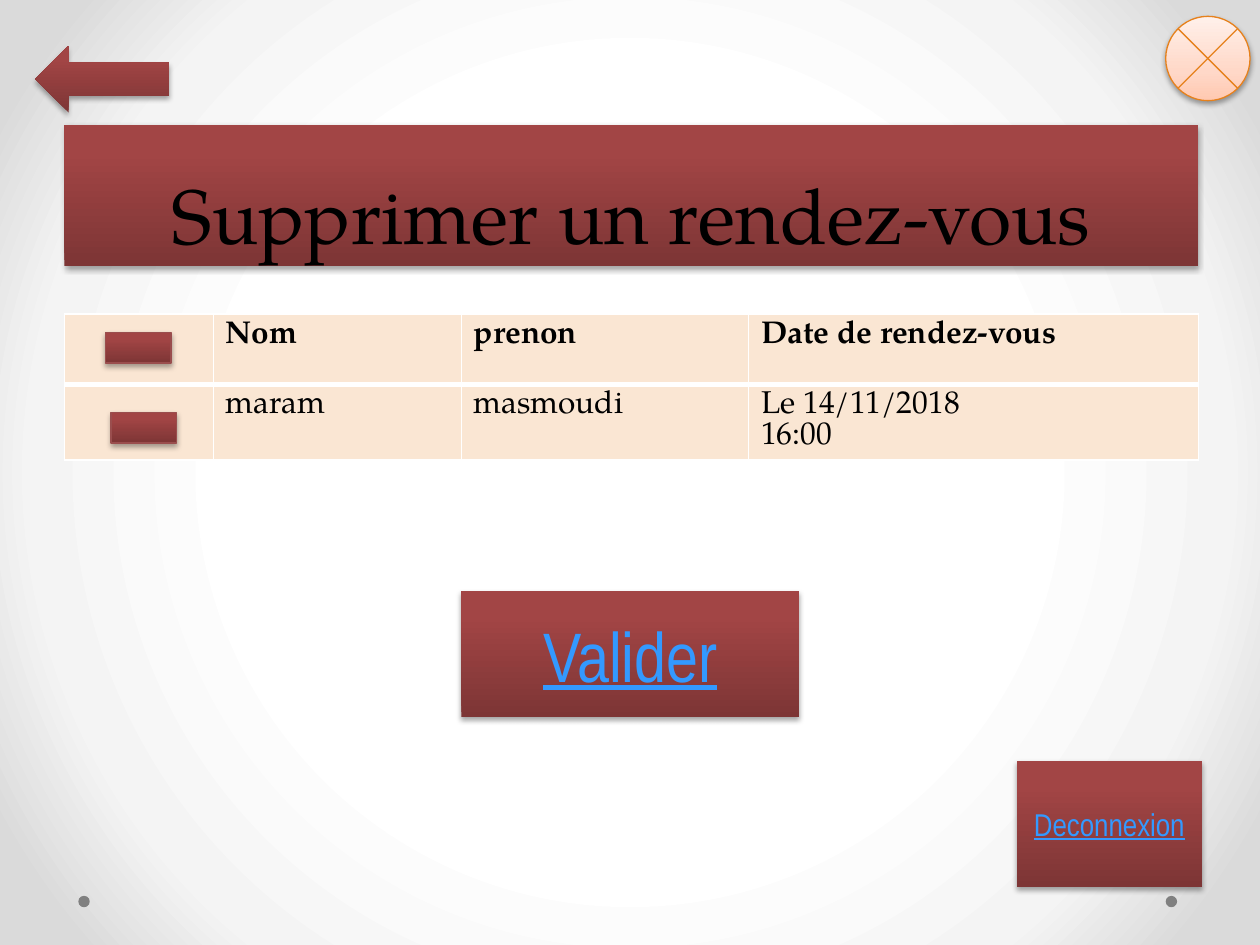
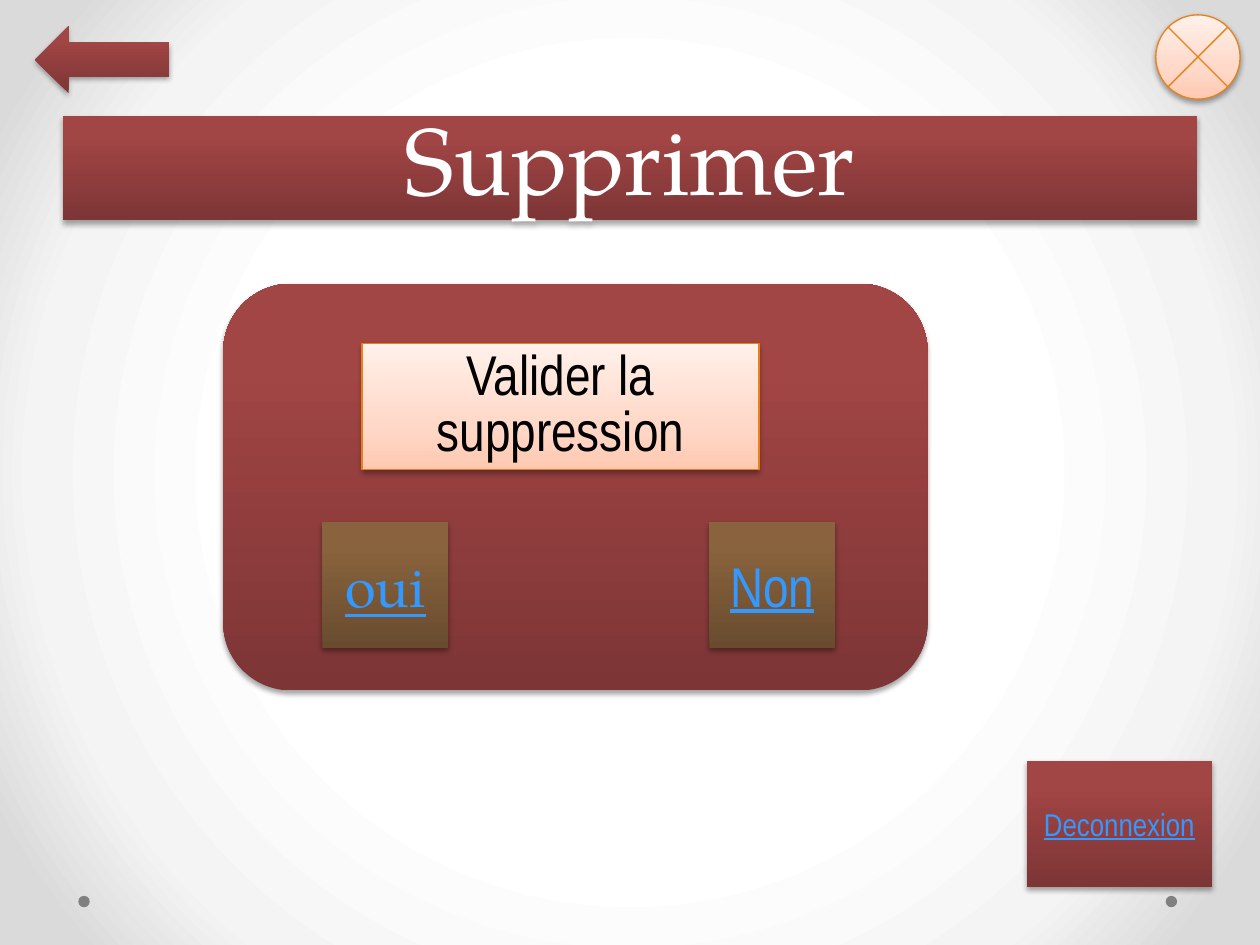
from pptx import Presentation
from pptx.dml.color import RGBColor
from pptx.enum.shapes import MSO_SHAPE
from pptx.enum.text import MSO_ANCHOR, PP_ALIGN
from pptx.oxml import parse_xml
from pptx.oxml.ns import nsdecls, qn
from pptx.util import Cm, Pt

RECT, ROUNDED, OVAL = MSO_SHAPE.RECTANGLE, MSO_SHAPE.ROUNDED_RECTANGLE, MSO_SHAPE.OVAL
ARROW, JUNCTION = MSO_SHAPE.LEFT_ARROW, MSO_SHAPE.FLOWCHART_SUMMING_JUNCTION
CENTER, LEFT = PP_ALIGN.CENTER, PP_ALIGN.LEFT
MIDDLE, TOP, BOTTOM = MSO_ANCHOR.MIDDLE, MSO_ANCHOR.TOP, MSO_ANCHOR.BOTTOM
SERIF, NARROW = "TeX Gyre Pagella", "Arial Narrow"

COLORS = {
    "black": "000000", "white": "FFFFFF", "link": "3399FF", "dot": "808080",
    "cell": "FAE6D3", "orange": "E6811C", "red_line": "9A4E4E",
}
STOPS = {
    "red": [(0, "7D3535"), (80, "A24545"), (100, "A44343")],
    "brown": [(0, "694C2F"), (80, "89633D"), (100, "8B633C")],
    "peach": [(0, "FFC9B1"), (35, "FFD8C8"), (100, "FFF0EA")],
    "backdrop": [(50, "FFFFFF"), (76, "F4F4F4"), (92, "DADADA")],
}
UPWARD = '<a:lin ang="16200000" scaled="0"/>'
RADIAL = '<a:path path="circle"><a:fillToRect l="50000" t="50000" r="50000" b="50000"/></a:path>'
GRADIENTS = {
    name: f'<a:gradFill {nsdecls("a")} rotWithShape="1"><a:gsLst>'
    + "".join(f'<a:gs pos="{pos * 1000}"><a:srgbClr val="{c}"/></a:gs>' for pos, c in stops)
    + f'</a:gsLst>{RADIAL if name == "backdrop" else UPWARD}</a:gradFill>'
    for name, stops in STOPS.items()
}
SHADOW = (
    f'<a:effectLst {nsdecls("a")}><a:outerShdw blurRad="39370" dist="22860" dir="5400000" '
    'algn="ctr" rotWithShape="0"><a:srgbClr val="000000"><a:alpha val="35000"/></a:srgbClr>'
    "</a:outerShdw></a:effectLst>"
)


def write(tf, text, size=18, font=NARROW, color="black", bold=False, underline=False,
          align=CENTER, anchor=MIDDLE, spacing=None):
    tf.word_wrap = True
    tf.vertical_anchor = anchor
    for i, line in enumerate(text.split("\n")):
        p = tf.add_paragraph() if i else tf.paragraphs[0]
        p.alignment = align
        if spacing:
            p.line_spacing = Pt(spacing)
        r = p.add_run()
        r.text = line
        r.font.size, r.font.name = Pt(size), font
        r.font.bold, r.font.underline = bold, underline
        r.font.color.rgb = RGBColor.from_string(COLORS[color])


def add_block(s, kind, x, y, w, h, fill="red", line=None):
    sp = s.shapes.add_shape(kind, Cm(x), Cm(y), Cm(w), Cm(h))
    sp.shadow.inherit = False
    if line:
        sp.line.color.rgb = RGBColor.from_string(COLORS[line])
        sp.line.width = Pt(0.75)
    else:
        sp.line.fill.background()
    sp.fill.solid()
    if fill in GRADIENTS:
        props = sp.element.spPr
        props.replace(props.find(qn("a:solidFill")), parse_xml(GRADIENTS[fill]))
        props.replace(props.find(qn("a:effectLst")), parse_xml(SHADOW))
    else:
        sp.fill.fore_color.rgb = RGBColor.from_string(COLORS[fill])
    return sp


prs = Presentation()
prs.slide_width, prs.slide_height = Cm(25.4), Cm(19.05)

# Shared frame: backdrop, dots, back arrow, title band, logout and close buttons
# text, size, colour, band (x, y, height), arrow y, logout x, close (x, y)
frames = [
    ("Supprimer un rendez-vous", 44, "black", (1.3, 2.52, 2.84), 0.92, 20.5, (23.5, 0.33)),
    ("Supprimer", 54, "white", (1.27, 2.33, 2.11), 0.53, 20.7, (23.3, 0.3)),
]
slides = []
for title, size, color, (band_x, band_y, band_h), arrow_y, logout_x, close in frames:
    s = prs.slides.add_slide(prs.slide_layouts[6])
    slides.append(s)
    s.background.fill.solid()
    bg = s.element.find(".//" + qn("p:bgPr"))
    bg.replace(bg.find(qn("a:solidFill")), parse_xml(GRADIENTS["backdrop"]))
    for dot_x in (1.58, 23.5):
        add_block(s, OVAL, dot_x, 18.06, 0.23, 0.23, fill="dot")
    band = add_block(s, RECT, band_x, band_y, 22.86, band_h)
    write(band.text_frame, title, size=size, font=SERIF, color=color, anchor=BOTTOM, spacing=58)
    add_block(s, ARROW, 0.71, arrow_y, 2.7, 1.35)
    logout = add_block(s, RECT, logout_x, 15.34, 3.73, 2.54)
    write(logout.text_frame, "Deconnexion", color="link", underline=True)
    add_block(s, JUNCTION, *close, 1.7, 1.7, fill="peach", line="orange")

list_slide, confirm_slide = slides

# Appointment table
rows = [
    ("", "Nom", "prenon", "Date de rendez-vous"),
    ("", "maram", "masmoudi", "Le 14/11/2018\n16:00"),
]
col_widths, row_heights = (3, 5, 5.79, 9.07), (1.42, 1.37)
table = list_slide.shapes.add_table(2, 4, Cm(1.3), Cm(6.33), Cm(22.86), Cm(2.79)).table
for col, width in zip(table.columns, col_widths):
    col.width = Cm(width)
for i, (row, height) in enumerate(zip(rows, row_heights)):
    table.rows[i].height = Cm(height)
    for j, text in enumerate(row):
        cell = table.cell(i, j)
        props = cell._tc.get_or_add_tcPr()
        thick_side = "B" if i == 0 else "T"
        for side in "LRTB":
            width = Pt(3 if side == thick_side else 1)
            props.append(parse_xml(
                f'<a:ln{side} {nsdecls("a")} w="{width}"><a:solidFill>'
                f'<a:srgbClr val="{COLORS["white"]}"/></a:solidFill></a:ln{side}>'))
        cell.fill.solid()
        cell.fill.fore_color.rgb = RGBColor.from_string(COLORS["cell"])
        if text:
            write(cell.text_frame, text, font=SERIF, bold=i == 0, align=LEFT, anchor=TOP,
                  spacing=18)

# Row selectors and validation button
for x, y in ((2.13, 6.71), (2.24, 8.32)):
    add_block(list_slide, RECT, x, y, 1.32, 0.61, line="red_line")
button = add_block(list_slide, RECT, 9.3, 11.92, 6.81, 2.54)
write(button.text_frame, "Valider", size=40, color="link", underline=True)

# Confirmation dialog: tight line spacing keeps both lines inside the question box
add_block(confirm_slide, ROUNDED, 4.5, 5.72, 14.2, 8.2)
question = add_block(confirm_slide, RECT, 7.3, 6.93, 8, 2.54, fill="peach", line="orange")
write(question.text_frame, "Valider la suppression", size=32, spacing=32)
for answer, x, font in (("oui", 6.5, SERIF), ("Non", 14.3, NARROW)):
    button = add_block(confirm_slide, RECT, x, 10.52, 2.54, 2.54, fill="brown")
    write(button.text_frame, answer, size=32, font=font, color="link", underline=True)

prs.save("out.pptx")
